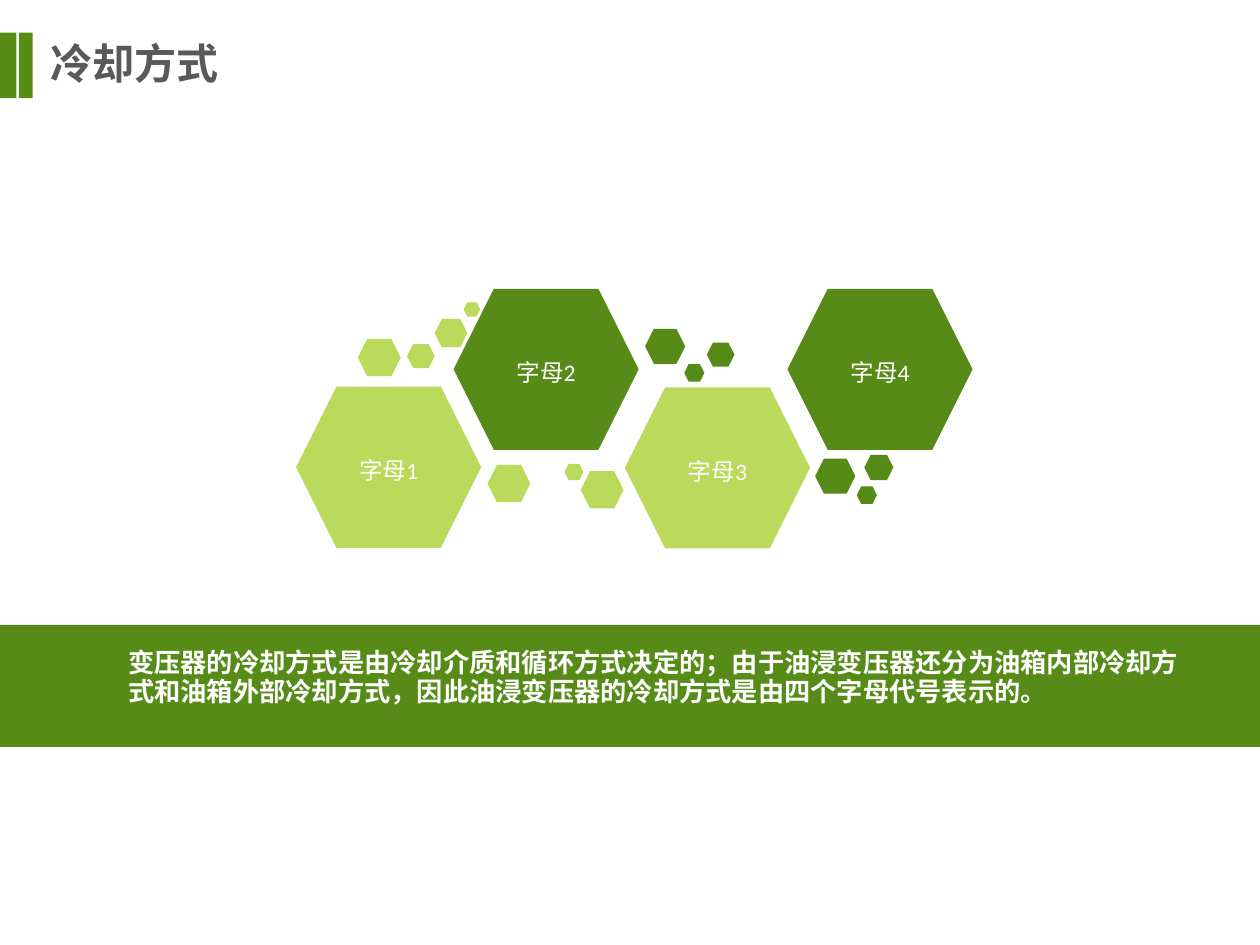
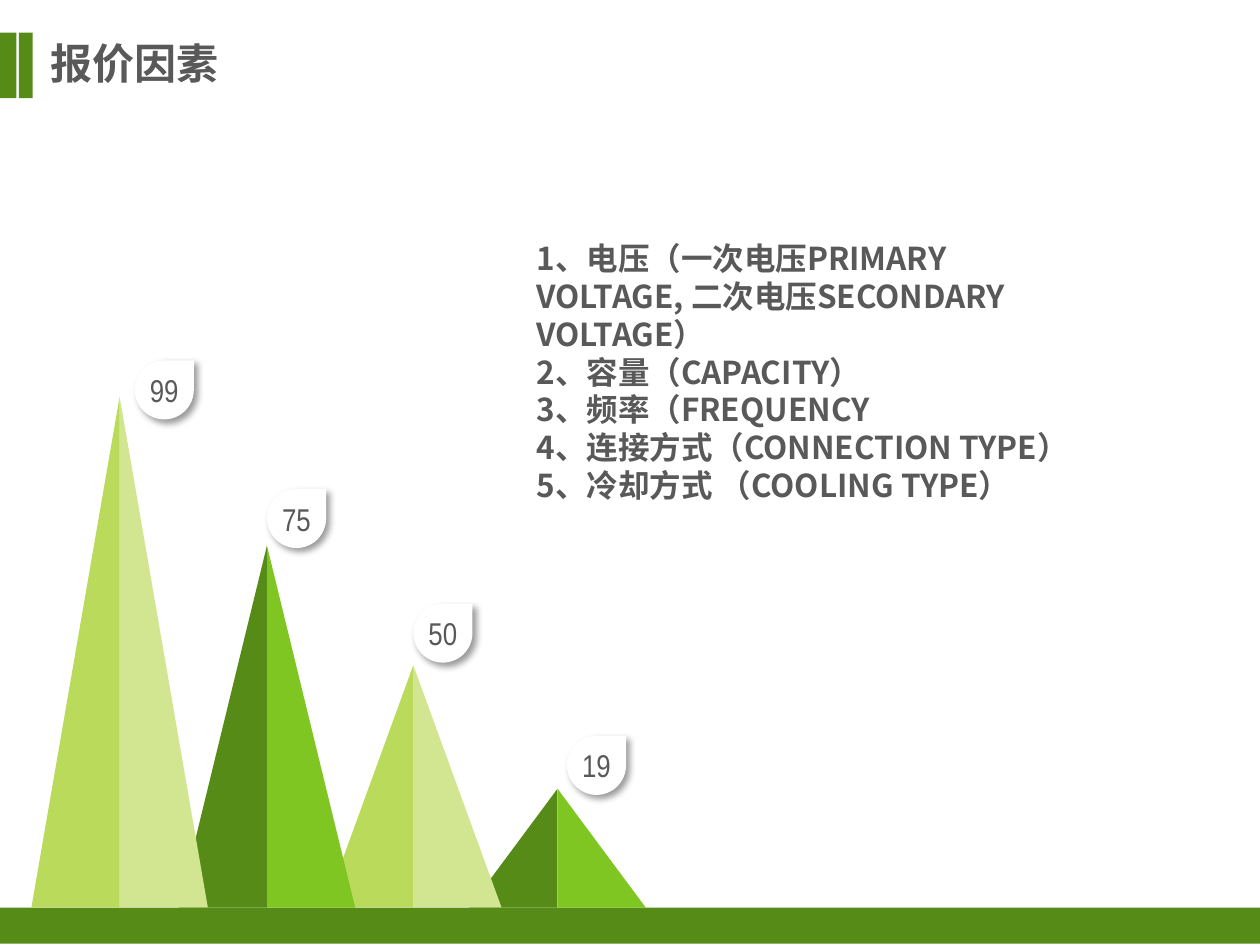
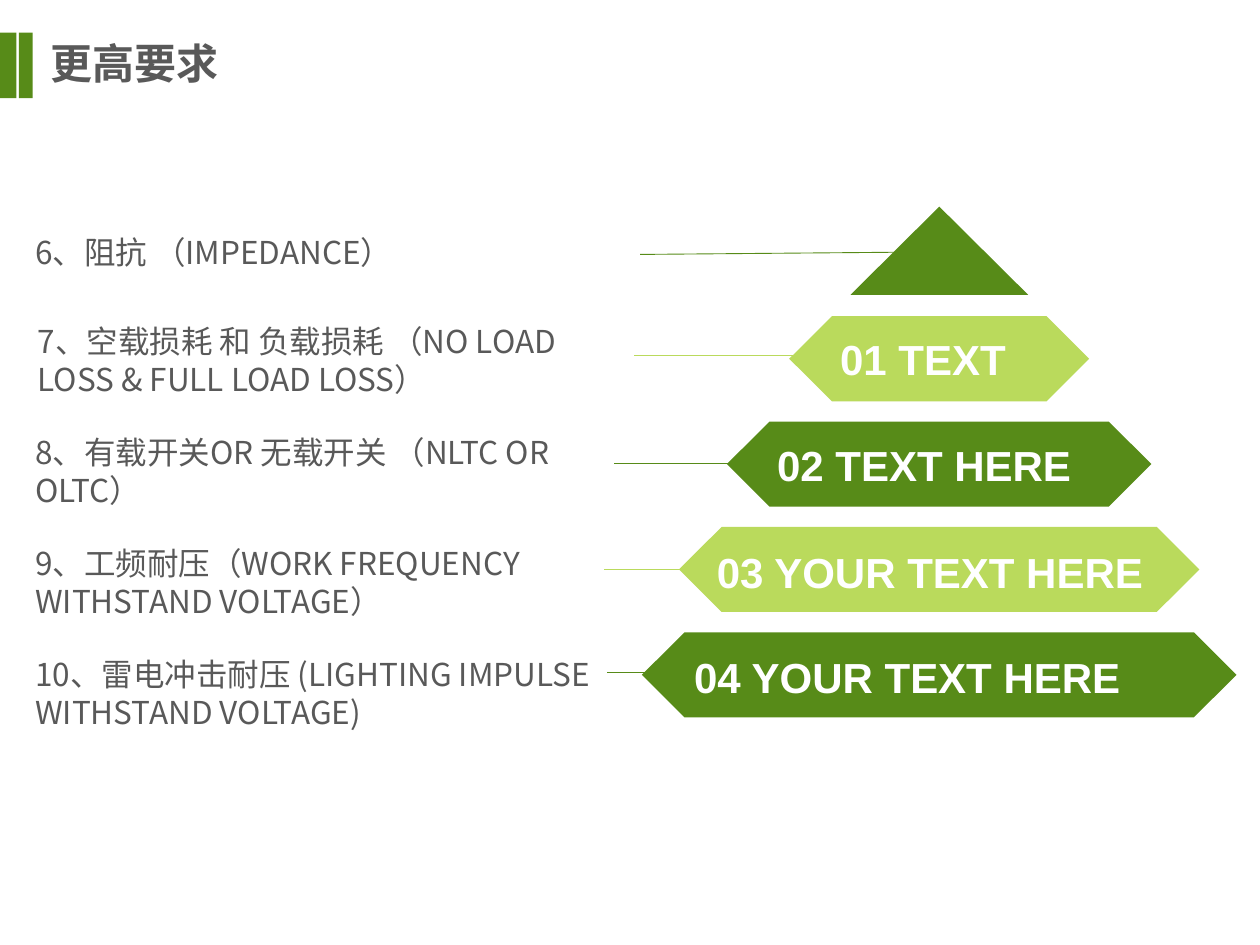
from dataclasses import dataclass

from lxml import etree
from pptx import Presentation
from pptx.dml.color import RGBColor
from pptx.enum.shapes import MSO_CONNECTOR, MSO_SHAPE as SHAPE
from pptx.enum.text import MSO_ANCHOR as ANCHOR, PP_ALIGN as ALIGN
from pptx.oxml.ns import qn
from pptx.util import Pt


@dataclass(frozen=True)
class Theme:
    dark: str = "578B18"
    light: str = "BADA5C"
    dark_side: str = "7FC622"
    light_side: str = "D2E692"
    grey: str = "595959"
    white: str = "FFFFFF"
    shadow: str = "000000"
    cjk: str = "Noto Sans CJK SC"
    body_font: str = "Calibri"
    label_font: str = "Arial"
    number_font: str = "Arial Narrow"
    title: float = 24
    body: float = 18
    summary: float = 15
    caption: float = 13.5
    hairline: float = 0.5


class Deck:
    def __init__(self, theme):
        self.theme = theme
        self.prs = Presentation()
        self.prs.slide_width = Pt(720)
        self.prs.slide_height = Pt(540)
        self.slide = None

    def new_slide(self, title):
        t = self.theme
        self.slide = self.prs.slides.add_slide(self.prs.slide_layouts[6])
        self.text([title], 21.6, 18, 237.6, 36, t.title, t.grey, bold=True)
        for left, width in ((0, 9.4), (10.8, 7.9)):
            self.shape(SHAPE.RECTANGLE, left, 18.7, width, 37.4, t.dark)

    def paint(self, sp, color):
        sp.shadow.inherit = False
        sp.fill.solid()
        sp.fill.fore_color.rgb = RGBColor.from_string(color)
        sp.line.fill.background()
        return sp

    def shape(self, kind, left, top, width, height, color):
        sp = self.slide.shapes.add_shape(kind, Pt(left), Pt(top), Pt(width), Pt(height))
        return self.paint(sp, color)

    def outline(self, points, color):
        start, *rest = [(Pt(x), Pt(y)) for x, y in points]
        builder = self.slide.shapes.build_freeform(*start)
        builder.add_line_segments(rest, close=True)
        return self.paint(builder.convert_to_shape(), color)

    def fill_text(self, tf, lines, size, color, font, bold=False, align=None, spacing=None):
        tf.word_wrap = True
        tf.text = "\n".join(lines)
        for p in tf.paragraphs:
            p.alignment = align
            p.line_spacing = spacing
            for r in p.runs:
                r.font.name = font
                r.font.size = Pt(size)
                r.font.bold = bold
                r.font.color.rgb = RGBColor.from_string(color)
                ea = etree.Element(qn("a:ea"), typeface=self.theme.cjk)
                r.font._element.find(qn("a:latin")).addnext(ea)

    def text(self, lines, left, top, width, height, size, color,
             font=None, bold=False, leading=1.2):
        box = self.slide.shapes.add_textbox(Pt(left), Pt(top), Pt(width), Pt(height))
        spacing = None if font else Pt(size * leading)
        self.fill_text(box.text_frame, lines, size, color, font or self.theme.cjk,
                       bold, spacing=spacing)

    def caption(self, sp, text, size, color, font, spacing=None):
        tf = sp.text_frame
        tf.vertical_anchor = ANCHOR.MIDDLE
        self.fill_text(tf, [text], size, color, font, align=ALIGN.CENTER, spacing=spacing)

    def hexagon(self, left, top, width, color):
        return self.shape(SHAPE.HEXAGON, left, top, width, width * 0.87, color)

    def peak(self, center, top, base, left_color, right_color):
        half = 50.4
        self.shape(SHAPE.RIGHT_TRIANGLE, center, top, half, base - top, right_color)
        sp = self.shape(SHAPE.RIGHT_TRIANGLE, center - half, top, half, base - top, left_color)
        sp._element.spPr.find(qn("a:xfrm")).set("flipH", "1")

    def drop(self, left, top, text):
        t = self.theme
        sp = self.shape(SHAPE.TEAR, left, top, 33.8, 33.8, t.white)
        tf = sp.text_frame
        tf.margin_left = tf.margin_right = tf.margin_top = tf.margin_bottom = 0
        self.caption(sp, text, t.body, t.grey, t.number_font)
        effects = sp._element.spPr.find(qn("a:effectLst"))
        shadow = etree.SubElement(effects, qn("a:outerShdw"), blurRad=str(Pt(4)),
                                  dist=str(Pt(3)), dir="2700000", algn="tl", rotWithShape="0")
        color = etree.SubElement(shadow, qn("a:srgbClr"), val=t.shadow)
        etree.SubElement(color, qn("a:alpha"), val="40000")

    def banner(self, center, top, width, color):
        height, tip = 48.6, 24.4
        left, right = center - width / 2, center + width / 2
        middle, bottom = top + height / 2, top + height
        self.outline([(left + tip, top), (right - tip, top), (right, middle),
                      (right - tip, bottom), (left + tip, bottom), (left, middle)], color)

    def line(self, x1, y1, x2, y2, color):
        cx = self.slide.shapes.add_connector(
            MSO_CONNECTOR.STRAIGHT, Pt(x1), Pt(y1), Pt(x2), Pt(y2))
        cx.line.color.rgb = RGBColor.from_string(color)
        cx.line.width = Pt(self.theme.hairline)
        etree.SubElement(cx._element.spPr, qn("a:effectLst"))


def cooling_slide(deck):
    t = deck.theme
    deck.new_slide("冷却方式")
    letters = [(169.2, 221, t.light), (259.2, 165, t.dark),
               (357.1, 221.3, t.light), (450, 165, t.dark)]
    for number, (left, top, color) in enumerate(letters, 1):
        sp = deck.hexagon(left, top, 105.8, color)
        deck.caption(sp, f"字母{number}", t.caption, t.white, t.body_font, 1.2)

    bubbles = {
        t.light: [(204.5, 193.7, 24.5), (278.6, 265.7, 24.5), (331.9, 269.3, 24.5),
                  (265, 172.8, 9.4), (322.6, 265, 10.8), (248.4, 182.2, 18.7),
                  (232.6, 196.6, 15.8)],
        t.dark: [(403.9, 195.8, 15.8), (368.6, 187.9, 23), (391, 208.1, 11.5),
                 (465.8, 262.1, 23), (493.9, 259.9, 16.6), (489.6, 277.9, 11.5)],
    }
    for color, spots in bubbles.items():
        for left, top, width in spots:
            deck.hexagon(left, top, width, color)

    deck.shape(SHAPE.RECTANGLE, -0.7, 357.1, 725, 69.8, t.dark)
    summary = ("变压器的冷却方式是由冷却介质和循环方式决定的；由于油浸变压器还分为油箱内部冷却方式"
               "和油箱外部冷却方式，因此油浸变压器的冷却方式是由四个字母代号表示的。")
    deck.text([summary], 66.2, 367.2, 628.6, 59, t.summary, t.white, bold=True, leading=1.1)


def pricing_slide(deck):
    t = deck.theme
    deck.new_slide("报价因素")
    base = 518.6
    deck.shape(SHAPE.RECTANGLE, -2.2, base, 725.8, 20.6, t.dark)
    factors = ["1、电压（一次电压PRIMARY VOLTAGE, 二次电压SECONDARY VOLTAGE）",
               "2、容量（CAPACITY）",
               "3、频率（FREQUENCY",
               "4、连接方式（CONNECTION TYPE）",
               "5、冷却方式 （COOLING TYPE）"]
    deck.text(factors, 299.5, 133.2, 329, 191.5, t.body, t.grey, bold=True)

    greens = (t.dark, t.dark_side)
    limes = (t.light, t.light_side)
    peaks = [(318.6, 450.7, greens), (236.2, 380.2, limes),
             (152.6, 311.8, greens), (68.4, 226.8, limes)]
    for center, top, sides in peaks:
        deck.peak(center, top, base, *sides)
    drops = [(324, 420.5, "19"), (236.2, 344.9, "50"),
             (152.6, 279.4, "75"), (77, 205.9, "99")]
    for left, top, value in drops:
        deck.drop(left, top, value)


def requirements_slide(deck):
    t = deck.theme
    deck.new_slide("更高要求")
    deck.shape(SHAPE.ISOSCELES_TRIANGLE, 486, 118.1, 101.5, 50.4, t.dark)
    deck.line(527.8, 144, 365.8, 145.4, t.dark)
    deck.text(["6、阻抗 （IMPEDANCE）"], 13, 129.6, 337.7, 28.8, t.body, t.grey)

    rows = [
        (171.4, t.light, "01 TEXT", 473, 187.2, 131, (461.5, 362.2, 203),
         "7、空载损耗 和 负载损耗 （NO LOAD LOSS & FULL LOAD LOSS）", 14.4),
        (242.6, t.dark, "02 TEXT HERE", 437, 247.7, 199.4, (416.9, 350.6, 265),
         "8、有载开关OR 无载开关 （NLTC OR OLTC）", 13),
        (297.4, t.light, "03 YOUR TEXT HERE", 402.5, 308.9, 267.8, (402.5, 344.9, 325.4),
         "9、工频耐压（WORK FREQUENCY WITHSTAND VOLTAGE）", 13),
        (339.8, t.dark, "04 YOUR TEXT HERE", 389.5, 368.6, 295.9, (373.7, 347, 384.5),
         "10、雷电冲击耐压 (LIGHTING IMPULSE WITHSTAND VOLTAGE)", 13),
    ]
    for i, (width, color, label, left, top, label_width, rule, note, note_left) in enumerate(rows):
        deck.banner(536.7, 180.7 + 60.2 * i, width, color)
        deck.text([label], left, top, label_width, 36, t.title, t.white, t.label_font, True)
        start, end, y = rule
        deck.line(start, y, end, y, color)
        deck.text([note], note_left, 180.7 + 63.36 * i, 337.7, 51.1, t.body, t.grey)


def main():
    deck = Deck(Theme())
    cooling_slide(deck)
    pricing_slide(deck)
    requirements_slide(deck)
    deck.prs.save("out.pptx")


if __name__ == "__main__":
    main()
